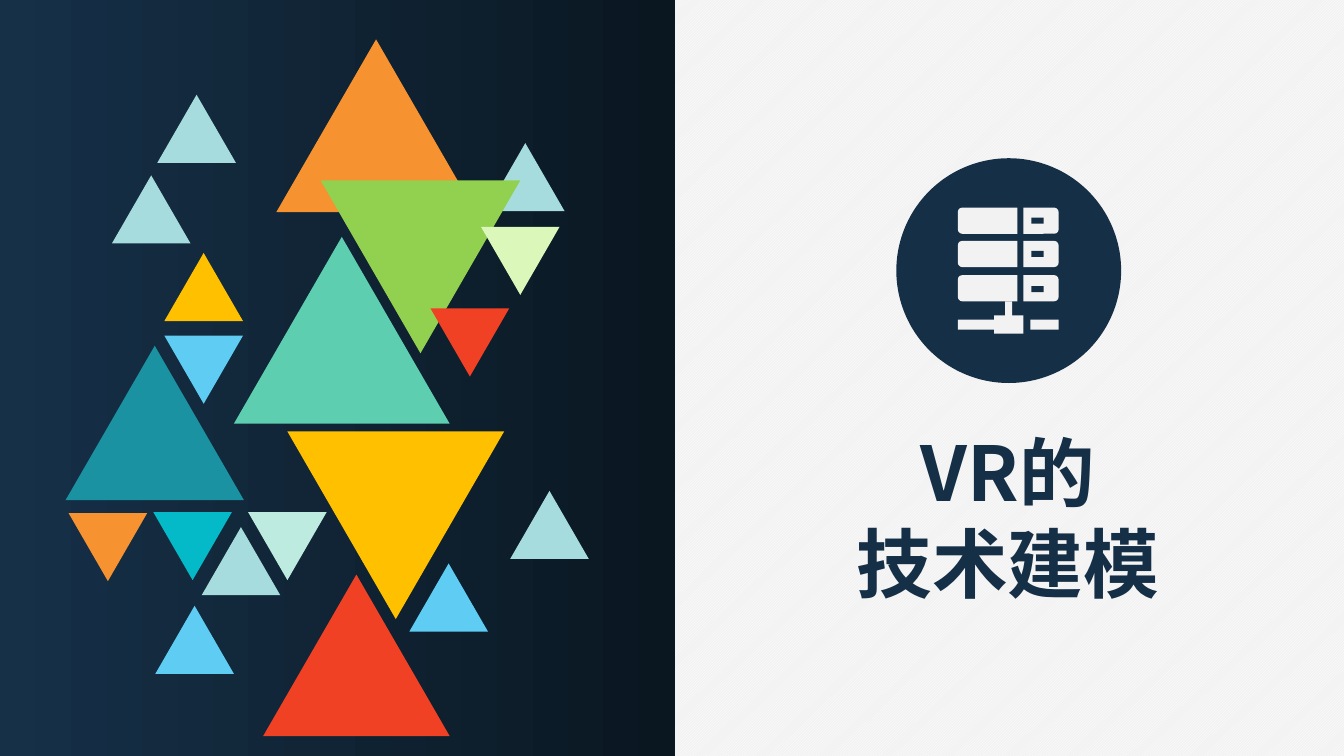
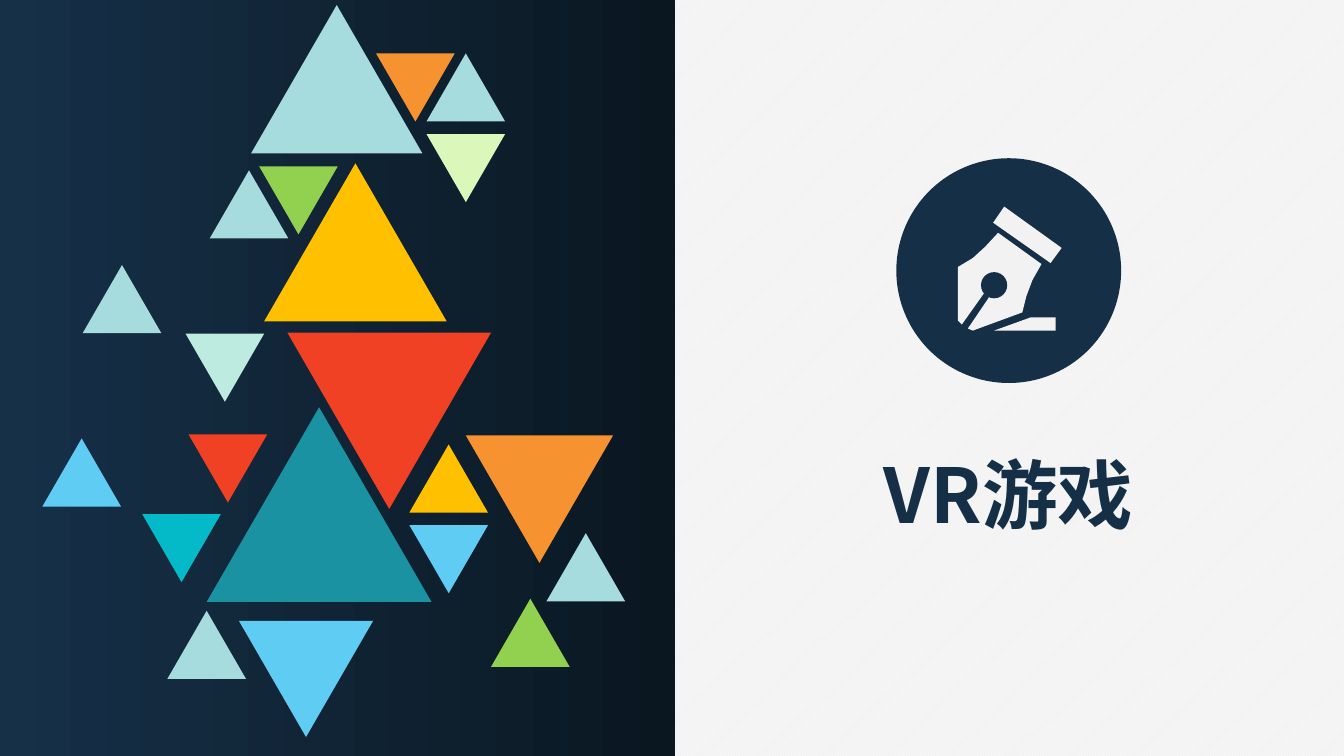
from lxml import etree
from pptx import Presentation
from pptx.dml.color import RGBColor
from pptx.enum.dml import MSO_PATTERN
from pptx.enum.shapes import MSO_SHAPE
from pptx.enum.text import MSO_ANCHOR, PP_ALIGN
from pptx.oxml.ns import qn
from pptx.util import Inches, Pt

RECTANGLE = MSO_SHAPE.RECTANGLE
ROUNDED = MSO_SHAPE.ROUNDED_RECTANGLE
ELLIPSE = MSO_SHAPE.OVAL
TRIANGLE = MSO_SHAPE.ISOSCELES_TRIANGLE

NAVY = RGBColor(0x15, 0x2F, 0x47)
PANEL_START = RGBColor(0x16, 0x30, 0x48)
PANEL_END = RGBColor(0x0A, 0x17, 0x21)
LIGHT = RGBColor(0xF2, 0xF2, 0xF2)
WHITE = RGBColor(0xFF, 0xFF, 0xFF)
PALE_BLUE = RGBColor(0xA7, 0xDC, 0xDE)
MINT = RGBColor(0xBE, 0xEB, 0xDF)
SEA_GREEN = RGBColor(0x5D, 0xCE, 0xAF)
TEAL = RGBColor(0x1A, 0x92, 0xA2)
SKY = RGBColor(0x5E, 0xCC, 0xF3)
ORANGE = RGBColor(0xF6, 0x92, 0x30)
GREEN = RGBColor(0x92, 0xD0, 0x50)
LIME = RGBColor(0xDC, 0xF7, 0xBA)
CYAN = RGBColor(0x05, 0xBA, 0xC8)
YELLOW = RGBColor(0xFF, 0xC0, 0x00)
RED = RGBColor(0xF1, 0x41, 0x24)

FONT = "Noto Sans CJK SC"
SMALL = 0.78
TRIANGLE_RATIO = 0.866
UP, DOWN = 0, 180

SERVER_ROWS = [(ROUNDED, 9.5, top, 1, 0.26, LIGHT) for top in (2.06, 2.39, 2.73)]
SERVER_SLOTS = [(RECTANGLE, 10.23, top, 0.12, 0.06, NAVY) for top in (2.16, 2.49, 2.84)]
SERVER_PARTS = SERVER_ROWS + SERVER_SLOTS + [
    (RECTANGLE, 10.09, 2.04, 0.06, 0.97, NAVY),
    (RECTANGLE, 9.97, 2.99, 0.07, 0.15, LIGHT),
    (RECTANGLE, 9.86, 3.13, 0.29, 0.18, LIGHT),
    (RECTANGLE, 9.5, 3.17, 0.37, 0.1, LIGHT),
    (RECTANGLE, 10.22, 3.17, 0.28, 0.1, LIGHT),
]

PEN_NIB = [
    (9.5, 3.18), (9.5, 2.65), (9.65, 2.56), (9.77, 2.45), (9.9, 2.31),
    (10.33, 2.62), (10.24, 2.78), (10.18, 2.94), (10.14, 3.1), (9.65, 3.28),
    (9.6, 3.26), (9.81, 2.95), (9.76, 2.91), (9.54, 3.22),
]
PEN_CAP = [(10.42, 2.61), (10.53, 2.46), (9.96, 2.05), (9.85, 2.21)]
PEN_LINE = [(9.86, 3.28), (10.47, 3.28), (10.47, 3.15), (10.22, 3.15)]

SLIDES = [
    {
        "title": "VR的\n技术建模",
        "title_box": (8.38, 4.17, 3.23, 1.92),
        "outlines": [],
        "parts": SERVER_PARTS,
        "triangles": [
            (1.11, 1.74, SMALL, UP, PALE_BLUE),
            (4.82, 1.42, SMALL, UP, PALE_BLUE),
            (2.46, 5.08, SMALL, DOWN, MINT),
            (2.32, 2.35, 2.14, UP, SEA_GREEN),
            (0.65, 3.43, 1.77, UP, TEAL),
            (2, 5.23, SMALL, UP, PALE_BLUE),
            (1.54, 6.01, SMALL, UP, SKY),
            (2.74, 0.39, 1.98, UP, ORANGE),
            (1.56, 0.94, SMALL, UP, PALE_BLUE),
            (3.18, 1.79, 1.98, DOWN, GREEN),
            (4.77, 2.25, SMALL, DOWN, LIME),
            (1.52, 5.08, SMALL, DOWN, CYAN),
            (0.68, 5.09, SMALL, DOWN, ORANGE),
            (1.63, 2.51, SMALL, UP, YELLOW),
            (1.63, 3.33, SMALL, DOWN, SKY),
            (4.27, 3.06, SMALL, DOWN, RED),
            (2.61, 5.7, 1.85, UP, RED),
            (5.06, 4.87, SMALL, UP, PALE_BLUE),
            (2.85, 4.28, 2.15, DOWN, YELLOW),
            (4.06, 5.59, SMALL, UP, SKY),
        ],
    },
    {
        "title": "VR游戏",
        "title_box": (8.61, 4.39, 2.79, 1.01),
        "outlines": [PEN_NIB, PEN_CAP, PEN_LINE],
        "parts": [(ELLIPSE, 9.73, 2.7, 0.26, 0.26, NAVY)],
        "triangles": [
            (0.82, 2.63, SMALL, UP, PALE_BLUE),
            (4.23, 0.53, SMALL, UP, PALE_BLUE),
            (1.84, 3.31, SMALL, DOWN, MINT),
            (2.85, 3.3, 2.02, DOWN, RED),
            (2.05, 4.04, 2.23, UP, TEAL),
            (1.66, 6.06, SMALL, UP, PALE_BLUE),
            (0.42, 4.35, SMALL, UP, SKY),
            (2.08, 1.69, SMALL, UP, PALE_BLUE),
            (2.57, 1.65, SMALL, DOWN, GREEN),
            (4.23, 1.33, SMALL, DOWN, LIME),
            (1.41, 5.1, SMALL, DOWN, CYAN),
            (4.62, 4.32, 1.46, DOWN, ORANGE),
            (4.06, 4.41, SMALL, UP, YELLOW),
            (4.06, 5.21, SMALL, DOWN, SKY),
            (1.87, 4.31, SMALL, DOWN, RED),
            (2.37, 6.16, 1.33, DOWN, SKY),
            (5.42, 5.29, SMALL, UP, PALE_BLUE),
            (2.62, 1.62, 1.81, UP, YELLOW),
            (4.87, 5.94, SMALL, UP, GREEN),
            (2.49, 0.05, 1.7, UP, PALE_BLUE),
            (3.73, 0.53, SMALL, DOWN, ORANGE),
        ],
    },
]


def paint(shape, color):
    shape.shadow.inherit = False
    shape.fill.solid()
    shape.fill.fore_color.rgb = color
    shape.line.fill.background()


def add_filled(shapes, kind, left, top, width, height, color):
    shape = shapes.add_shape(kind, Inches(left), Inches(top), Inches(width), Inches(height))
    paint(shape, color)
    return shape


presentation = Presentation()
presentation.slide_width = Inches(13.33)
presentation.slide_height = Inches(7.5)
layout = presentation.slide_layouts.get_by_name("Title Only")

background = layout.background.fill
background.patterned()
background.pattern = MSO_PATTERN.LIGHT_UPWARD_DIAGONAL
background.fore_color.rgb = WHITE
background.back_color.rgb = LIGHT

slides = [presentation.slides.add_slide(layout) for content in SLIDES]

panel = add_filled(slides[0].shapes, RECTANGLE, 0, 0, 6.69, 7.5, NAVY)
panel.fill.gradient()
panel.fill.gradient_angle = 0
for stop, position, color in zip(panel.fill.gradient_stops, (0, 1), (PANEL_START, PANEL_END)):
    stop.position = position
    stop.color.rgb = color
layout.shapes.element.insert(2, panel.element)

for slide, content in zip(slides, SLIDES):
    title = slide.shapes.title
    title.left, title.top, title.width, title.height = map(Inches, content["title_box"])
    text_frame = title.text_frame
    text_frame.text = content["title"]
    text_frame.word_wrap = True
    text_frame.vertical_anchor = MSO_ANCHOR.TOP
    for paragraph in text_frame.paragraphs:
        paragraph.alignment = PP_ALIGN.CENTER
        paragraph.line_spacing = Pt(65)
        for run in paragraph.runs:
            run.font.size = Pt(54)
            run.font.bold = True
            run.font.color.rgb = NAVY
            run.font.name = FONT
            east_asian = etree.SubElement(run._r.get_or_add_rPr(), qn("a:ea"))
            east_asian.set("typeface", FONT)

    icon = slide.shapes.add_group_shape()
    add_filled(icon.shapes, ELLIPSE, 8.89, 1.57, 2.23, 2.23, NAVY)
    for outline in content["outlines"]:
        points = [(Inches(x), Inches(y)) for x, y in outline]
        builder = icon.shapes.build_freeform(*points[0])
        builder.add_line_segments(points[1:])
        paint(builder.convert_to_shape(), LIGHT)
    for part in content["parts"]:
        add_filled(icon.shapes, *part)

    for left, top, width, rotation, color in content["triangles"]:
        height = width * TRIANGLE_RATIO
        triangle = add_filled(slide.shapes, TRIANGLE, left, top, width, height, color)
        triangle.rotation = rotation

presentation.save("out.pptx")
